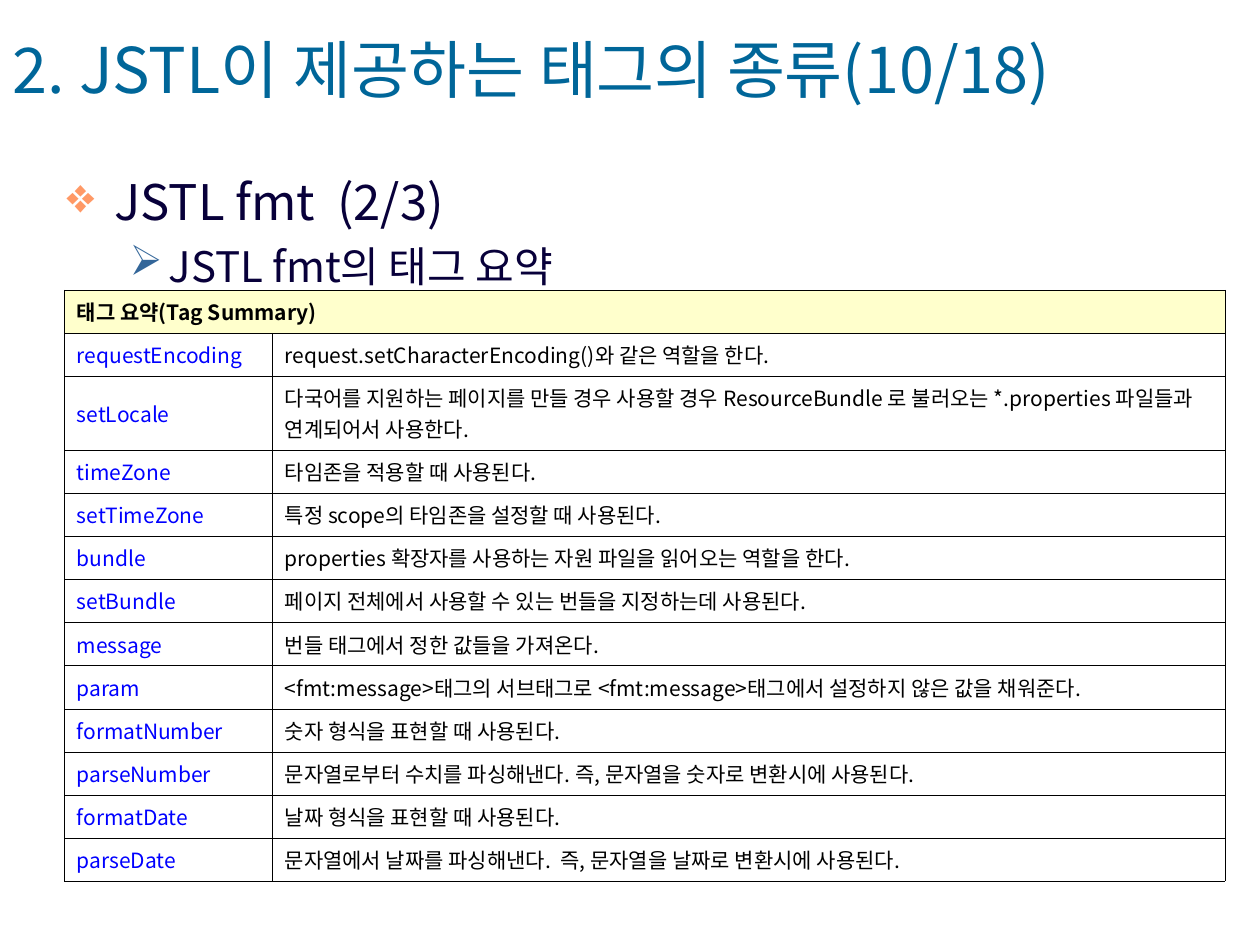
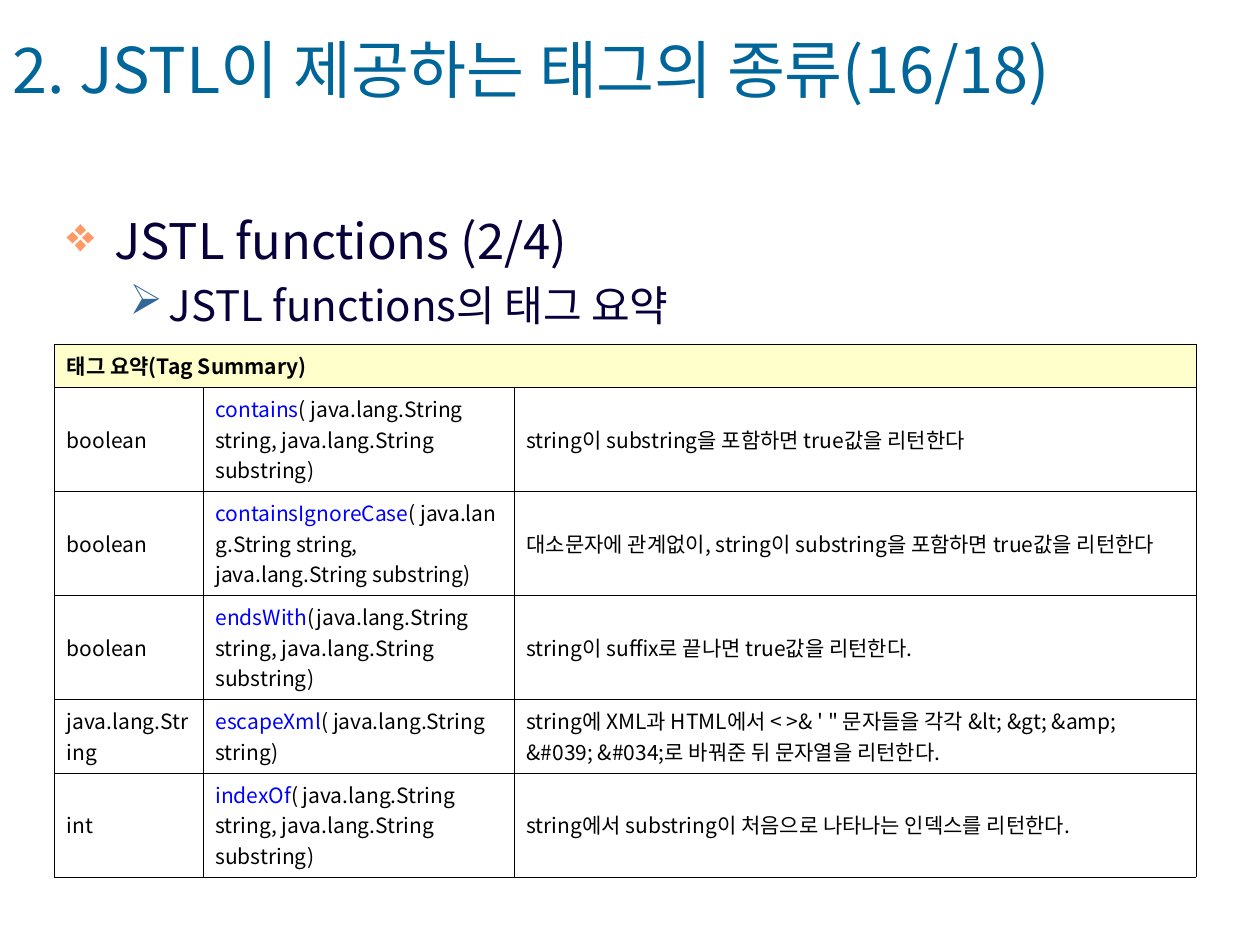
from dataclasses import dataclass
from itertools import product

from lxml import etree
from pptx import Presentation
from pptx.dml.color import RGBColor
from pptx.enum.text import MSO_ANCHOR, MSO_AUTO_SIZE, PP_ALIGN
from pptx.oxml.ns import qn
from pptx.util import Inches, Pt

MIDDLE, TOP = MSO_ANCHOR.MIDDLE, MSO_ANCHOR.TOP
NO_FIT = MSO_AUTO_SIZE.NONE
LEFT, JUSTIFY = PP_ALIGN.LEFT, PP_ALIGN.JUSTIFY

FONT = "Noto Sans CJK KR"
COLORS = {
    "title": "006699",
    "heading": "08003A",
    "diamond": "FF9966",
    "arrow": "336699",
    "tag": "0000FF",
    "text": "000000",
    "band": "FFFFCC",
    "cell": "FFFFFF",
    "border": "000000",
}
WIDTH, HEIGHT = Inches(10), Inches(7.5)
COLUMN, ROW = WIDTH / 100, HEIGHT / 100
CELL_PADDING, TEXT_LINE = 1.35, 3.22
BORDER_WIDTH = Pt(0.06)
SUMMARY_HEADING = "태그 요약(Tag Summary)"


@dataclass(frozen=True)
class Area:
    column: float
    row: float
    columns: float
    rows: float

    def place(self) -> tuple[int, int, int, int]:
        return (round(self.column * COLUMN), round(self.row * ROW),
                round(self.columns * COLUMN), round(self.rows * ROW))


@dataclass(frozen=True)
class BulletStyle:
    symbol: str
    color: str
    size: int
    space_before: int
    margin: float
    hanging: float


@dataclass(frozen=True)
class Entry:
    tag: str = ""
    text: str = ""


@dataclass(frozen=True)
class SummaryRow:
    lines: int
    entries: tuple[Entry, ...]


@dataclass(frozen=True)
class TagPage:
    number: int
    headings: tuple[str, str]
    heading_area: Area
    table_column: float
    table_row: float
    column_widths: tuple[float, ...]
    rows: tuple[SummaryRow, ...]


TITLE_AREA = Area(0, 3.73, 85.4, 8.93)
BULLETS = (
    BulletStyle("❖", "diamond", 28, 7, 3.8, 3.8),
    BulletStyle("➢", "arrow", 24, 6, 8.1, 3.1),
)


def tag_row(tag: str, description: str, lines: int = 1) -> SummaryRow:
    return SummaryRow(lines, (Entry(tag=tag), Entry(text=description)))


def function_row(returns: str, name: str, arguments: str,
                 description: str, lines: int = 3) -> SummaryRow:
    return SummaryRow(lines, (Entry(text=returns), Entry(name, arguments),
                              Entry(text=description)))


TWO_STRINGS = "( java.lang.String string, java.lang.String substring)"

PAGES = (
    TagPage(
        10, ("JSTL fmt  (2/3)", "JSTL fmt의 태그 요약"),
        Area(4.3, 17.47, 92.1, 15.73), 5.1, 30.67, (16.5, 75.6),
        (
            tag_row("requestEncoding", "request.setCharacterEncoding()와 같은 역할을 한다."),
            tag_row("setLocale", "다국어를 지원하는 페이지를 만들 경우 사용할 경우 ResourceBundle 로 "
                    "불러오는 *.properties 파일들과 연계되어서 사용한다.", 2),
            tag_row("timeZone", "타임존을 적용할 때 사용된다."),
            tag_row("setTimeZone", "특정 scope의 타임존을 설정할 때 사용된다."),
            tag_row("bundle", "properties 확장자를 사용하는 자원 파일을 읽어오는 역할을 한다."),
            tag_row("setBundle", "페이지 전체에서 사용할 수 있는 번들을 지정하는데 사용된다."),
            tag_row("message", "번들 태그에서 정한 값들을 가져온다."),
            tag_row("param", "<fmt:message>태그의 서브태그로 <fmt:message>태그에서 "
                    "설정하지 않은 값을 채워준다."),
            tag_row("formatNumber", "숫자 형식을 표현할 때 사용된다."),
            tag_row("parseNumber", "문자열로부터 수치를 파싱해낸다. 즉, 문자열을 숫자로 변환시에 사용된다."),
            tag_row("formatDate", "날짜 형식을 표현할 때 사용된다."),
            tag_row("parseDate", "문자열에서 날짜를 파싱해낸다.  즉, 문자열을 날짜로 변환시에 사용된다."),
        ),
    ),
    TagPage(
        16, ("JSTL functions (2/4)", "JSTL functions의 태그 요약"),
        Area(4.3, 21.6, 92.1, 14.67), 4.3, 36.4, (11.8, 24.7, 54.1),
        (
            function_row("boolean", "contains", TWO_STRINGS,
                         "string이 substring을 포함하면 true값을 리턴한다"),
            function_row("boolean", "containsIgnoreCase", TWO_STRINGS,
                         "대소문자에 관계없이, string이 substring을 포함하면 true값을 리턴한다"),
            function_row("boolean", "endsWith",
                         "(java.lang.String string, java.lang.String substring)",
                         "string이 suffix로 끝나면 true값을 리턴한다."),
            function_row("java.lang.String", "escapeXml", "( java.lang.String string)",
                         "string에 XML과 HTML에서 < >& ' \" 문자들을 각각 &lt; &gt; &amp; "
                         "&#039; &#034;로 바꿔준 뒤 문자열을 리턴한다.", 2),
            function_row("int", "indexOf", TWO_STRINGS,
                         "string에서 substring이 처음으로 나타나는 인덱스를 리턴한다."),
        ),
    ),
)


def style_run(run, size: int, color: str, bold: bool = False) -> None:
    font = run.font
    font.size, font.bold, font.name = Pt(size), bold, FONT
    font.color.rgb = RGBColor.from_string(COLORS[color])
    for script in ("a:ea", "a:cs"):
        etree.SubElement(run._r.get_or_add_rPr(), qn(script), typeface=FONT)


def draw_title(slide, number: int) -> None:
    title = slide.shapes.title
    title.left, title.top, title.width, title.height = TITLE_AREA.place()
    frame = title.text_frame
    frame.text = f"2. JSTL이 제공하는 태그의 종류({number}/18)"
    frame.word_wrap, frame.auto_size = True, NO_FIT
    frame.vertical_anchor = MIDDLE
    paragraph = frame.paragraphs[0]
    paragraph.alignment, paragraph.line_spacing = LEFT, 0.7
    style_run(paragraph.runs[0], 36, "title")


def add_bullet(paragraph, style: BulletStyle) -> None:
    properties = paragraph._p.get_or_add_pPr()
    properties.set("marL", str(round(style.margin * COLUMN)))
    properties.set("indent", str(round(-style.hanging * COLUMN)))
    bullet_color = etree.SubElement(properties, qn("a:buClr"))
    etree.SubElement(bullet_color, qn("a:srgbClr"), val=COLORS[style.color])
    etree.SubElement(properties, qn("a:buChar"), char=style.symbol)


def draw_headings(slide, page: TagPage) -> None:
    frame = slide.shapes.add_textbox(*page.heading_area.place()).text_frame
    frame.text = "\n".join(page.headings)
    frame.word_wrap, frame.auto_size = True, NO_FIT
    frame.vertical_anchor = TOP
    for level, (paragraph, style) in enumerate(zip(frame.paragraphs, BULLETS)):
        paragraph.level, paragraph.alignment = level, JUSTIFY
        paragraph.space_before = Pt(style.space_before)
        add_bullet(paragraph, style)
        style_run(paragraph.runs[0], style.size, "heading")


def frame_cell(cell, fill: str) -> None:
    properties = cell._tc.get_or_add_tcPr()
    for side in ("a:lnL", "a:lnR", "a:lnT", "a:lnB"):
        line = etree.SubElement(properties, qn(side), w=str(int(BORDER_WIDTH)))
        solid = etree.SubElement(line, qn("a:solidFill"))
        etree.SubElement(solid, qn("a:srgbClr"), val=COLORS["border"])
    cell.fill.solid()
    cell.fill.fore_color.rgb = RGBColor.from_string(COLORS[fill])
    cell.vertical_anchor = MIDDLE


def write_entry(cell, entry: Entry) -> None:
    paragraph = cell.text_frame.paragraphs[0]
    for words, color in ((entry.tag, "tag"), (entry.text, "text")):
        if words:
            run = paragraph.add_run()
            run.text = words
            style_run(run, 12, color)


def draw_summary(slide, page: TagPage) -> None:
    line_counts = [1] + [row.lines for row in page.rows]
    heights = [CELL_PADDING + TEXT_LINE * lines for lines in line_counts]
    widths = page.column_widths
    area = Area(page.table_column, page.table_row, sum(widths), sum(heights))
    table = slide.shapes.add_table(len(heights), len(widths), *area.place()).table
    table.first_row = table.horz_banding = False
    for column, width in zip(table.columns, widths):
        column.width = round(width * COLUMN)
    for row, height in zip(table.rows, heights):
        row.height = round(height * ROW)
    for row, column in product(range(len(heights)), range(len(widths))):
        cell = table.cell(row, column)
        frame_cell(cell, "cell" if row else "band")
        if row:
            write_entry(cell, page.rows[row - 1].entries[column])
    heading = table.cell(0, 0)
    heading.merge(table.cell(0, len(widths) - 1))
    heading.text_frame.text = SUMMARY_HEADING
    style_run(heading.text_frame.paragraphs[0].runs[0], 12, "text", bold=True)


def main() -> None:
    deck = Presentation()
    deck.slide_width, deck.slide_height = WIDTH, HEIGHT
    title_only = deck.slide_layouts[5]
    for page in PAGES:
        slide = deck.slides.add_slide(title_only)
        draw_title(slide, page.number)
        draw_headings(slide, page)
        draw_summary(slide, page)
    deck.save("out.pptx")


if __name__ == "__main__":
    main()
